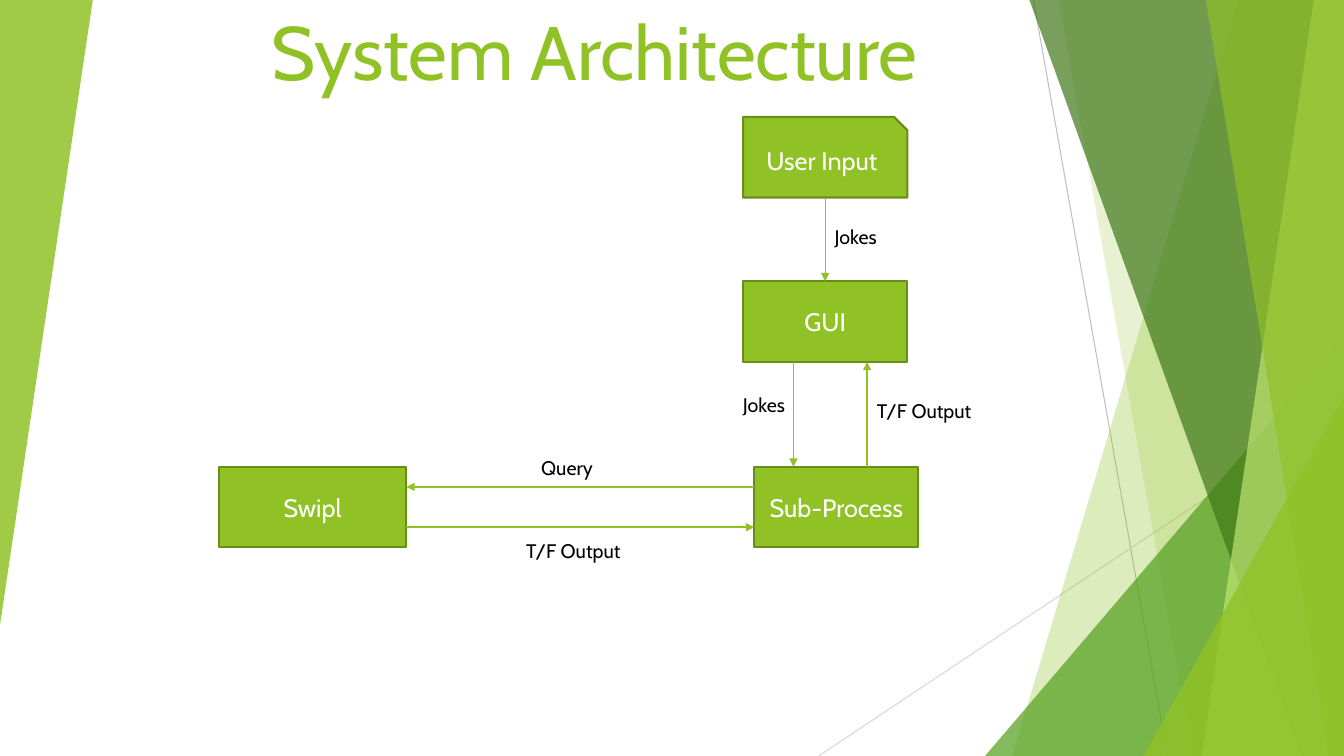
from lxml.etree import SubElement
from pptx import Presentation
from pptx.dml.color import RGBColor
from pptx.enum.shapes import MSO_CONNECTOR as Link, MSO_SHAPE as Kind
from pptx.enum.text import MSO_ANCHOR as Anchor, PP_ALIGN as Align
from pptx.oxml.ns import qn
from pptx.util import Inches, Pt

LIME = RGBColor(0x90, 0xC2, 0x26)
OLIVE = RGBColor(0x69, 0x8D, 0x1B)
GREEN = RGBColor(0x54, 0xA0, 0x21)
DARK = RGBColor(0x3F, 0x78, 0x18)
PALE = RGBColor(0xBF, 0xE4, 0x71)
GREY = RGBColor(0xBF, 0xBF, 0xBF)
SILVER = RGBColor(0xD8, 0xD8, 0xD8)
WHITE = RGBColor(0xFF, 0xFF, 0xFF)
BLACK = RGBColor(0, 0, 0)
FONT = "Cabin"
WIDE, HIGH = 13.33, 7.5


def write(shape, text, size=14, color=BLACK, align=Align.LEFT, anchor=Anchor.TOP):
    frame = shape.text_frame
    frame.word_wrap = True
    frame.vertical_anchor = anchor
    para = frame.paragraphs[0]
    para.alignment = align
    run = para.add_run()
    run.text = text
    run.font.name = FONT
    run.font.size = Pt(size)
    run.font.color.rgb = color


def label(slide, box, text, **style):
    write(slide.shapes.add_textbox(*map(Inches, box)), text, **style)


def tint(shape, color, alpha):
    """Fill with a see-through colour and no outline; alpha in percent."""
    shape.shadow.inherit = False
    shape.line.fill.background()
    shape.fill.solid()
    shape.fill.fore_color.rgb = color
    tone = shape.fill._xPr.find(qn("a:solidFill"))[0]
    SubElement(tone, qn("a:alpha")).set("val", str(alpha * 1000))


def wire(slide, start, end, color=LIME, width=1, arrow=True):
    line = slide.shapes.add_connector(Link.STRAIGHT, *map(Inches, start + end))
    line.line.color.rgb = color
    line.line.width = Pt(width)
    if arrow:
        SubElement(line.line._get_or_add_ln(), qn("a:tailEnd")).set("type", "triangle")
    SubElement(line._element.spPr, qn("a:effectLst"))
    return line


def wedge(slide, box, color, alpha, turn=0):
    shape = slide.shapes.add_shape(Kind.ISOSCELES_TRIANGLE, *map(Inches, box))
    shape.adjustments[0] = 1
    shape.rotation = turn
    tint(shape, color, alpha)


def facet(slide, box, top, low, color, alpha):
    """Band along the right edge, top wide above and low wide below."""
    x, y, w, h = box
    right, base = x + w, y + h
    spots = [(right, y), (right, base), (right - low, base)]
    form = slide.shapes.build_freeform(Inches(right - top), Inches(y))
    form.add_line_segments([(Inches(a), Inches(b)) for a, b in spots], close=True)
    tint(form.convert_to_shape(), color, alpha)


def backdrop(slide, box):
    x, y, w, h = box
    right, base = x + w, y + h
    wire(slide, (right - 3.08, y), (right - 1.75, base), GREY, 0.75, False)
    wire(slide, (right, y + 4.03), (right - 5.21, base), SILVER, 0.75, False)
    facet(slide, box, 1.05, 3.29, LIME, 30)
    facet(slide, box, 2.83, 1.5, LIME, 20)
    wedge(slide, (right - 3.56, base - 4.17, 3.56, 4.17), GREEN, 72)
    facet(slide, box, 3.12, 0.42, DARK, 70)
    facet(slide, box, 0.3, 1.41, PALE, 70)
    facet(slide, box, 1.37, 0.15, LIME, 65)
    wedge(slide, (right - 1.99, base - 3.57, 1.99, 3.57), LIME, 80)
    wedge(slide, (x, y, 0.92, 6.2), LIME, 85, turn=180)


def node(slide, box, text, kind=Kind.RECTANGLE):
    shape = slide.shapes.add_shape(kind, *map(Inches, box))
    shape.shadow.inherit = False
    shape.fill.solid()
    shape.fill.fore_color.rgb = LIME
    shape.line.color.rgb = OLIVE
    shape.line.width = Pt(1.5)
    write(shape, text, 18, WHITE, Align.CENTER, Anchor.MIDDLE)
    return shape


def diagram(slide, box):
    x, y, w, h = box
    tall, span = 0.8, 1.63
    right = x + w
    low = y + h - tall  # top of the lower row
    mid = y + 1.63  # top of the GUI box
    col = right - span - 0.11  # left of the upper column
    sub = right - span
    swipl = x + 1.86  # right side of Swipl

    # Boxes
    user = node(slide, (col, y, span, tall), "User Input", Kind.SNIP_1_RECTANGLE)
    gui = node(slide, (col, mid, span, tall), "GUI")
    node(slide, (sub, low, span, tall), "Sub-Process")
    node(slide, (x, low, 1.86, tall), "Swipl")

    # Arrows
    feed = wire(slide, (col + span / 2, y + tall), (col + span / 2, mid))
    feed.begin_connect(user, 2)
    feed.end_connect(gui, 0)
    wire(slide, (col + 0.5, mid + tall), (col + 0.5, low))
    wire(slide, (col + 1.23, low), (col + 1.23, mid + tall))
    wire(slide, (sub, low + tall / 4), (swipl, low + tall / 4))
    wire(slide, (swipl, low + tall * 0.75), (sub, low + tall * 0.75))

    # Arrow labels
    for left, top, wide, text in [
        (x + 3.1, low - 0.16, 0.96, "Query"),
        (x + 2.95, low + 0.67, 1.23, "T/F Output"),
        (col + 1.23, mid + 1.12, 1.23, "T/F Output"),
        (col + 0.81, y + 1.02, 1.21, "Jokes"),
        (col - 0.1, mid + 1.06, 0.83, "Jokes"),
    ]:
        label(slide, (left, top, wide, 0.34), text)


def main():
    deck = Presentation()
    deck.slide_width, deck.slide_height = Inches(WIDE), Inches(HIGH)
    slide = deck.slides.add_slide(deck.slide_layouts[6])
    backdrop(slide, (0, 0, WIDE, HIGH))
    label(slide, (1.65, 0.2, 8.49, 0.8), "System Architecture", size=54,
          color=LIME, align=Align.CENTER, anchor=Anchor.BOTTOM)
    diagram(slide, (2.17, 1.16, 6.94, 4.27))
    deck.save("out.pptx")


if __name__ == "__main__":
    main()
